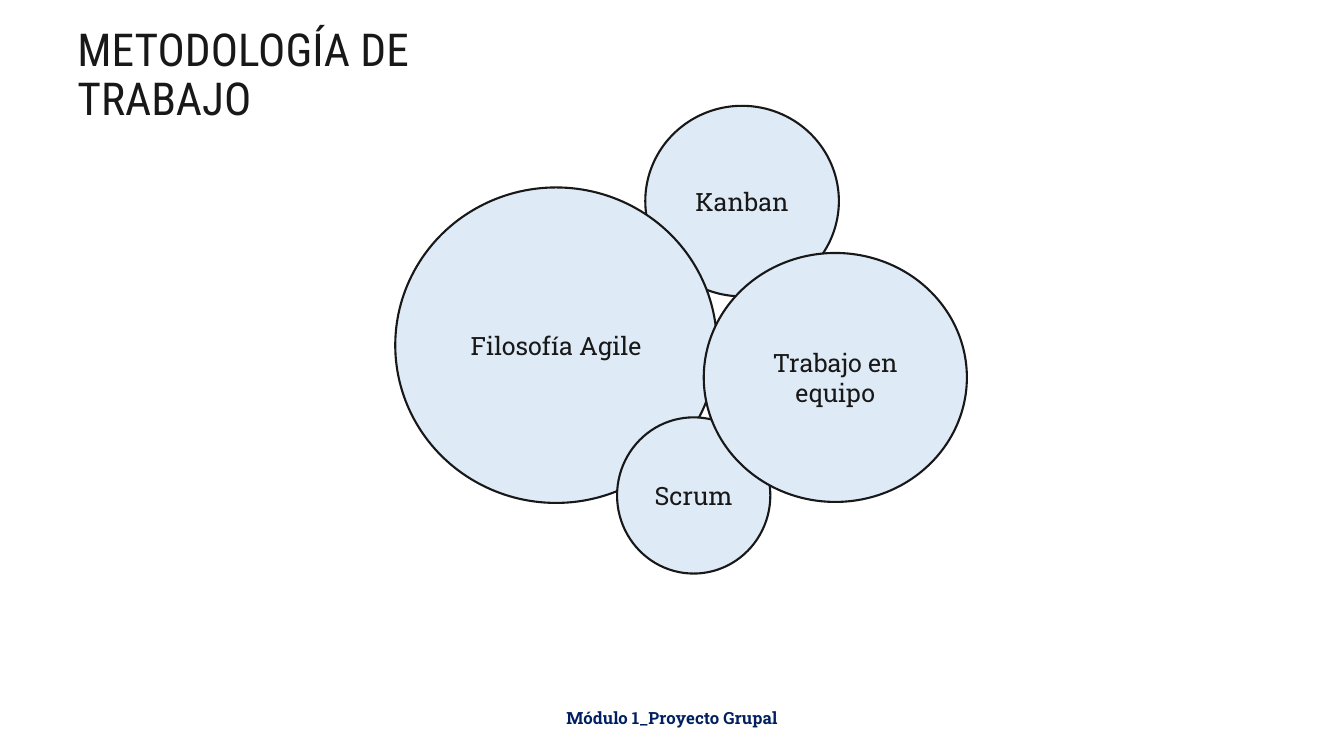
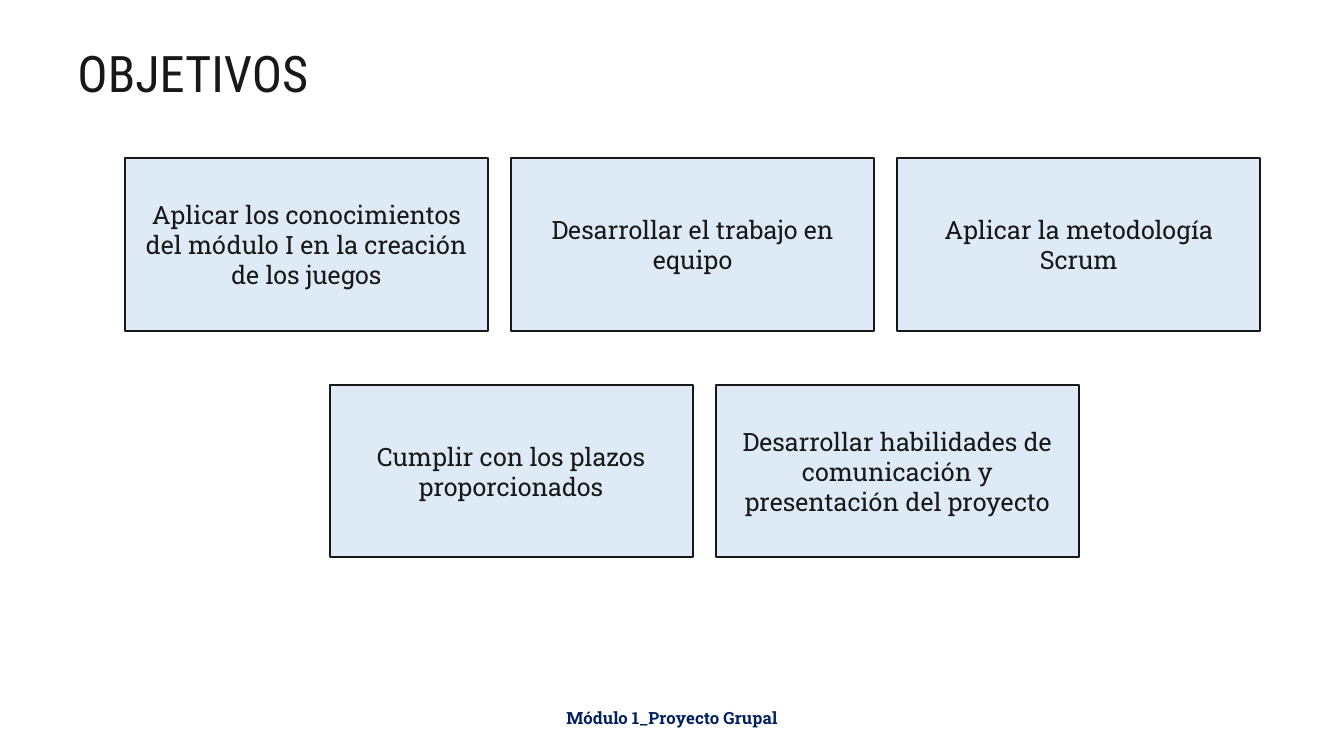
from dataclasses import dataclass

from pptx import Presentation
from pptx.dml.color import RGBColor
from pptx.enum.shapes import MSO_SHAPE
from pptx.enum.text import MSO_ANCHOR, PP_ALIGN
from pptx.util import Pt

SCALE = 9144  # EMU per px, 100 px to the inch


@dataclass(frozen=True)
class Theme:
    paper: RGBColor = RGBColor(0xFF, 0xFF, 0xFF)
    ink: RGBColor = RGBColor(0x18, 0x18, 0x18)
    pale: RGBColor = RGBColor(0xDE, 0xEB, 0xF7)
    navy: RGBColor = RGBColor(0x00, 0x20, 0x60)
    head: str = "Roboto Condensed"
    body: str = "Roboto Slab"
    title: float = 36
    small_title: float = 32.4
    label: float = 18
    foot: float = 12
    line: float = 1.5


THEME = Theme()


def px(*sizes):
    return [size * SCALE for size in sizes]


def write(shape, text, font, size, color, align=PP_ALIGN.CENTER, bold=False):
    """Put one styled run in the middle of a shape and return its paragraph."""
    frame = shape.text_frame
    frame.word_wrap = True
    frame.vertical_anchor = MSO_ANCHOR.MIDDLE
    para = frame.paragraphs[0]
    para.alignment = align
    run = para.add_run()
    run.text = text
    run.font.name = font
    run.font.size = Pt(size)
    run.font.bold = bold
    run.font.color.rgb = color
    return para


def add_title(slide, text, width, size):
    box = slide.shapes.add_textbox(*px(67, 33, width, 85))
    para = write(box, text, THEME.head, size, THEME.ink, PP_ALIGN.LEFT)
    para.line_spacing = 0.9


def add_footer(slide):
    box = slide.shapes.add_textbox(*px(539, 697, 255, 30))
    write(box, "Módulo 1_Proyecto Grupal", THEME.body, THEME.foot,
          THEME.navy, bold=True)


def add_label(slide, kind, text, *place):
    """Draw a pale outlined shape with its label."""
    shape = slide.shapes.add_shape(kind, *px(*place))
    shape.shadow.inherit = False
    shape.fill.solid()
    shape.fill.fore_color.rgb = THEME.pale
    shape.line.color.rgb = THEME.ink
    shape.line.width = Pt(THEME.line)
    write(shape, text, THEME.body, THEME.label, THEME.ink)


def add_row(slide, texts, left, top):
    """Lay out equal boxes from left to right."""
    width, height, gap = 360, 171, 23
    for i, text in enumerate(texts):
        add_label(slide, MSO_SHAPE.RECTANGLE, text,
                  left + i * (width + gap), top, width, height)


def add_slide(deck, title, width, size):
    slide = deck.slides.add_slide(deck.slide_layouts[6])
    slide.background.fill.solid()
    slide.background.fill.fore_color.rgb = THEME.paper
    add_title(slide, title, width, size)
    add_footer(slide)
    return slide


def build_method(deck):
    slide = add_slide(deck, "METODOLOGÍA DE TRABAJO", 435, THEME.small_title)
    circles = [
        ("Kanban", 640, 105, 192, 189),
        ("Filosofía Agile", 392, 186, 319, 313),
        ("Scrum", 612, 414, 152, 155),
        ("Trabajo en equipo", 698, 251, 261, 247),
    ]
    for circle in circles:
        add_label(slide, MSO_SHAPE.OVAL, *circle)


def build_goals(deck):
    slide = add_slide(deck, "OBJETIVOS", 349, THEME.title)
    add_row(slide, [
        "Aplicar los conocimientos del módulo I en la creación de los juegos",
        "Desarrollar el trabajo en equipo",
        "Aplicar la metodología Scrum",
    ], 124, 157)
    add_row(slide, [
        "Cumplir con los plazos proporcionados",
        "Desarrollar habilidades de comunicación y presentación del proyecto",
    ], 327, 382)


def main():
    deck = Presentation()
    deck.slide_width, deck.slide_height = px(1333, 750)
    build_method(deck)
    build_goals(deck)
    deck.save("out.pptx")


if __name__ == "__main__":
    main()
